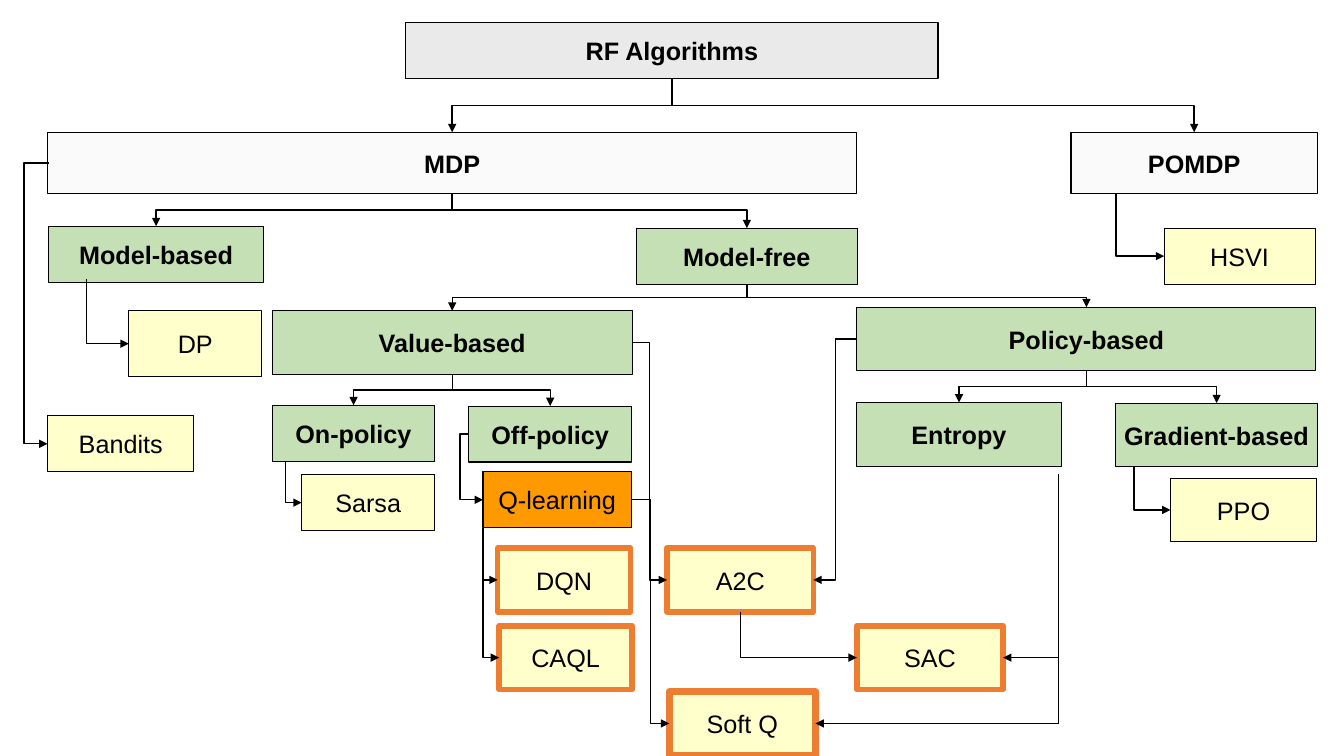
from lxml import etree
from pptx import Presentation
from pptx.dml.color import RGBColor
from pptx.enum import shapes, text
from pptx.oxml import ns
from pptx.util import Pt

BLACK = RGBColor(0x00, 0x00, 0x00)
GREY = RGBColor(0xEA, 0xEA, 0xEA)
PALE = RGBColor(0xFA, 0xFA, 0xFA)
GREEN = RGBColor(0xC5, 0xE0, 0xB4)
YELLOW = RGBColor(0xFF, 0xFF, 0xCC)
AMBER = RGBColor(0xFF, 0x99, 0x00)
ORANGE = RGBColor(0xED, 0x7D, 0x31)

TOP, LEFT, BOTTOM, RIGHT = range(4)

CATEGORIES = [
    ("RF Algorithms", 290, 16, 380, 40, GREY),
    ("MDP", 34, 94.5, 578, 44, PALE),
    ("POMDP", 765, 94.5, 176, 44, PALE),
    ("Model-based", 35, 161.5, 153, 40, GREEN),
    ("Model-free", 454.5, 163, 158, 40, GREEN),
    ("Value-based", 194.5, 222, 257, 45.5, GREEN),
    ("Policy-based", 612, 219.5, 328, 45.5, GREEN),
    ("On-policy", 194.5, 289.5, 116, 40, GREEN),
    ("Off-policy", 335, 290, 116, 40, GREEN),
    ("Entropy", 612, 287.5, 146, 45.5, GREEN),
    ("Gradient-based", 797, 288, 144, 45.5, GREEN),
]
ALGORITHMS = [
    ("HSVI", 831.5, 163, 108, 40, YELLOW),
    ("DP", 92, 222, 95, 47, YELLOW),
    ("Bandits", 34, 297, 104.5, 40, YELLOW),
    ("Sarsa", 215.5, 339, 95, 40, YELLOW),
    ("Q-learning", 345, 337, 106, 40, AMBER),
    ("PPO", 836, 341.5, 104.5, 45.5, YELLOW),
]
HIGHLIGHTS = [
    ("DQN", 355.5, 391.5, 95, 45.5, 4),
    ("CAQL", 356.5, 447, 95, 45.5, 4),
    ("A2C", 476.5, 391.5, 104.5, 45.5, 4),
    ("SAC", 612, 447, 104.5, 45.5, 4),
    ("Soft Q", 478, 494, 104.5, 45.5, 5),
]
FORKS = [
    ("RF Algorithms", ("MDP", "POMDP")),
    ("MDP", ("Model-based", "Model-free")),
    ("Model-free", ("Value-based", "Policy-based")),
    ("Value-based", ("On-policy", "Off-policy")),
    ("Policy-based", ("Entropy", "Gradient-based")),
]
DROPS = [
    (797, 138.5, "HSVI", LEFT),
    (62, 199.5, "DP", LEFT),
    (204, 330, "Sarsa", LEFT),
    (345, 377, "DQN", LEFT),
    (345, 407.5, "CAQL", LEFT),
    (810, 333.5, "PPO", LEFT),
    (756, 338.5, "Soft Q", RIGHT),
    (756, 423.5, "SAC", RIGHT),
]


def add_box(slide, label, left, top, width, height, fill, bold=False, border=BLACK, weight=0.75):
    box = slide.shapes.add_shape(
        shapes.MSO_SHAPE.FLOWCHART_PROCESS, Pt(left), Pt(top), Pt(width), Pt(height))
    box.shadow.inherit = False
    box.fill.solid()
    box.fill.fore_color.rgb = fill
    box.line.color.rgb = border
    box.line.width = Pt(weight)
    frame = box.text_frame
    frame.text = label
    frame.word_wrap = False
    frame.vertical_anchor = text.MSO_ANCHOR.MIDDLE
    paragraph = frame.paragraphs[0]
    paragraph.alignment = text.PP_ALIGN.CENTER
    font = paragraph.runs[0].font
    font.name = "Arial"
    font.size = Pt(18)
    font.bold = bold
    font.color.rgb = BLACK
    return box


def site_point(box, site):
    middle_x = box.left + box.width // 2
    middle_y = box.top + box.height // 2
    return {
        TOP: (middle_x, box.top),
        LEFT: (box.left, middle_y),
        BOTTOM: (middle_x, box.top + box.height),
        RIGHT: (box.left + box.width, middle_y),
    }[site]


def add_arrow(slide, start, end):
    connector = slide.shapes.add_connector(shapes.MSO_CONNECTOR.ELBOW, *start, *end)
    connector.line.color.rgb = BLACK
    connector.line.width = Pt(1)
    line = connector.line._get_or_add_ln()
    etree.SubElement(line, ns.qn("a:tailEnd"), type="triangle")
    etree.SubElement(connector._element.spPr, ns.qn("a:effectLst"))
    return connector


def set_bend(connector, ratio):
    geometry = connector._element.spPr.find(ns.qn("a:prstGeom"))
    values = geometry.find(ns.qn("a:avLst"))
    etree.SubElement(values, ns.qn("a:gd"), name="adj1", fmla=f"val {round(ratio * 100000)}")


def start_downward(connector, start, end):
    run, fall = abs(end[0] - start[0]), abs(end[1] - start[1])
    connector.left = (start[0] + end[0] - fall) // 2
    connector.top = (start[1] + end[1] - run) // 2
    connector.width, connector.height = fall, run
    frame = connector._element.spPr.find(ns.qn("a:xfrm"))
    for flip in ("flipH", "flipV"):
        frame.attrib.pop(flip, None)
    if end[0] < start[0]:
        frame.set("rot", "5400000")
    else:
        frame.set("rot", "16200000")
        frame.set("flipH", "1")


def add_fork(slide, parent, children):
    start = site_point(parent, BOTTOM)
    drop = (children[0].top - start[1]) / 2
    for child in children:
        end = site_point(child, TOP)
        connector = add_arrow(slide, start, end)
        connector.begin_connect(parent, BOTTOM)
        connector.end_connect(child, TOP)
        start_downward(connector, start, end)
        set_bend(connector, drop / (end[1] - start[1]))


def add_drop(slide, start, target, site):
    end = site_point(target, site)
    connector = add_arrow(slide, start, end)
    connector.end_connect(target, site)
    start_downward(connector, start, end)
    geometry = connector._element.spPr.find(ns.qn("a:prstGeom"))
    geometry.set("prst", "bentConnector2")
    return connector


def add_side_arrow(slide, source, source_site, target, target_site, turn):
    start, end = site_point(source, source_site), site_point(target, target_site)
    connector = add_arrow(slide, start, end)
    connector.begin_connect(source, source_site)
    connector.end_connect(target, target_site)
    set_bend(connector, (Pt(turn) - start[0]) / (end[0] - start[0]))


def add_bandits_arrow(slide, source, target):
    start_x, start_y = site_point(source, LEFT)
    connector = add_arrow(slide, (start_x + Pt(1), start_y), site_point(target, LEFT))
    connector.end_connect(target, LEFT)
    set_bend(connector, 18)


def main():
    presentation = Presentation()
    presentation.slide_width = Pt(960)
    presentation.slide_height = Pt(540)
    slide = presentation.slides.add_slide(presentation.slide_layouts[6])

    boxes = {}
    for label, *place, fill in CATEGORIES:
        boxes[label] = add_box(slide, label, *place, fill, bold=True)
    for label, *place, fill in ALGORITHMS:
        boxes[label] = add_box(slide, label, *place, fill)
    for label, *place, weight in HIGHLIGHTS:
        boxes[label] = add_box(slide, label, *place, YELLOW, border=ORANGE, weight=weight)

    for parent, children in FORKS:
        add_fork(slide, boxes[parent], [boxes[child] for child in children])
    for x, y, target, site in DROPS:
        add_drop(slide, (Pt(x), Pt(y)), boxes[target], site)
    actor_critic = boxes["A2C"]
    link = add_drop(slide, site_point(actor_critic, BOTTOM), boxes["SAC"], LEFT)
    link._element.nvCxnSpPr.cNvCxnSpPr._add_stCxn(id=actor_critic.shape_id, idx=BOTTOM)

    add_side_arrow(slide, boxes["Value-based"], RIGHT, actor_critic, LEFT, 464)
    add_side_arrow(slide, boxes["Policy-based"], LEFT, actor_critic, RIGHT, 597)
    add_side_arrow(slide, boxes["Off-policy"], LEFT, boxes["Q-learning"], LEFT, 328.5)
    add_side_arrow(slide, boxes["Q-learning"], RIGHT, boxes["Soft Q"], LEFT, 464.5)
    add_bandits_arrow(slide, boxes["MDP"], boxes["Bandits"])

    presentation.save("out.pptx")


if __name__ == "__main__":
    main()
